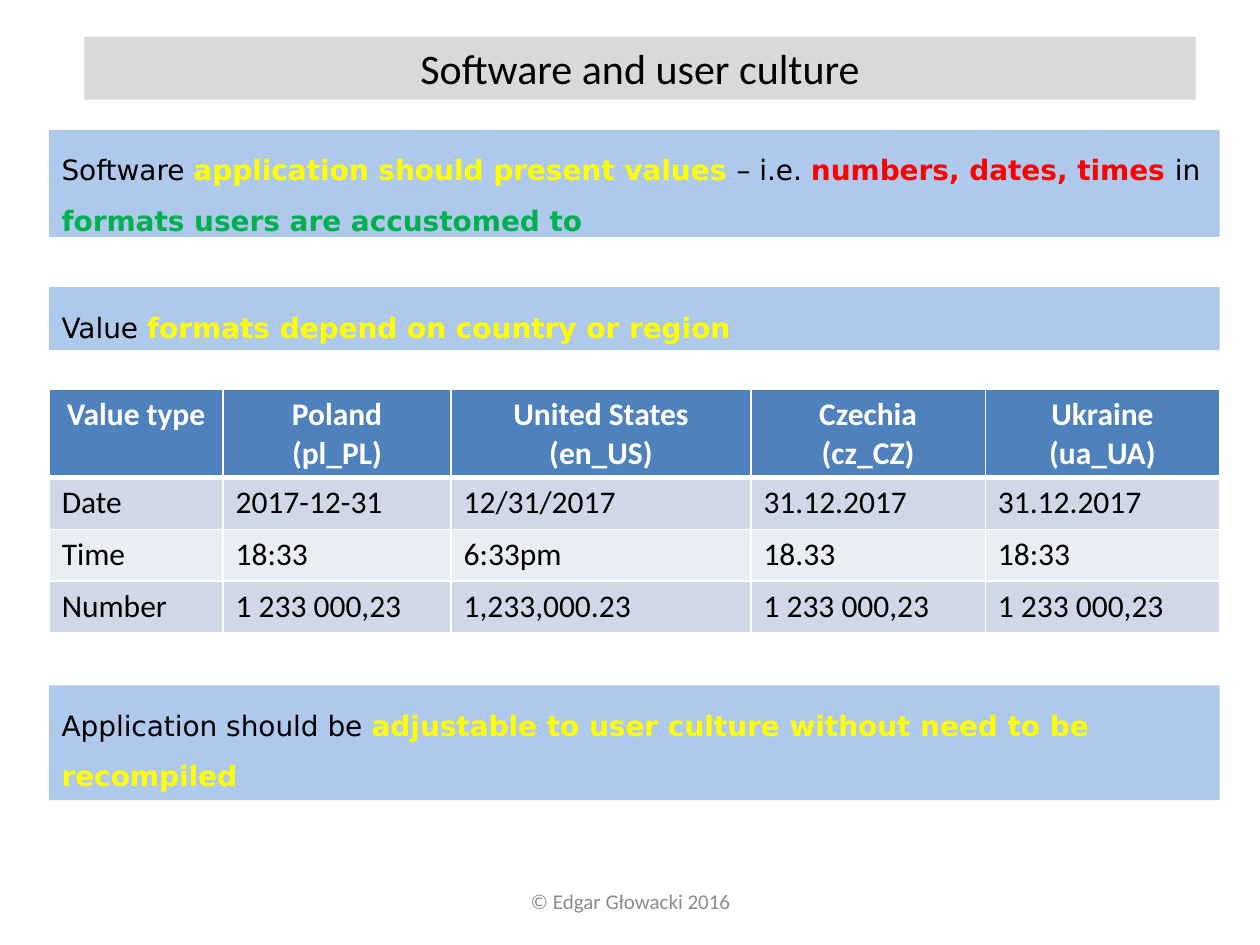
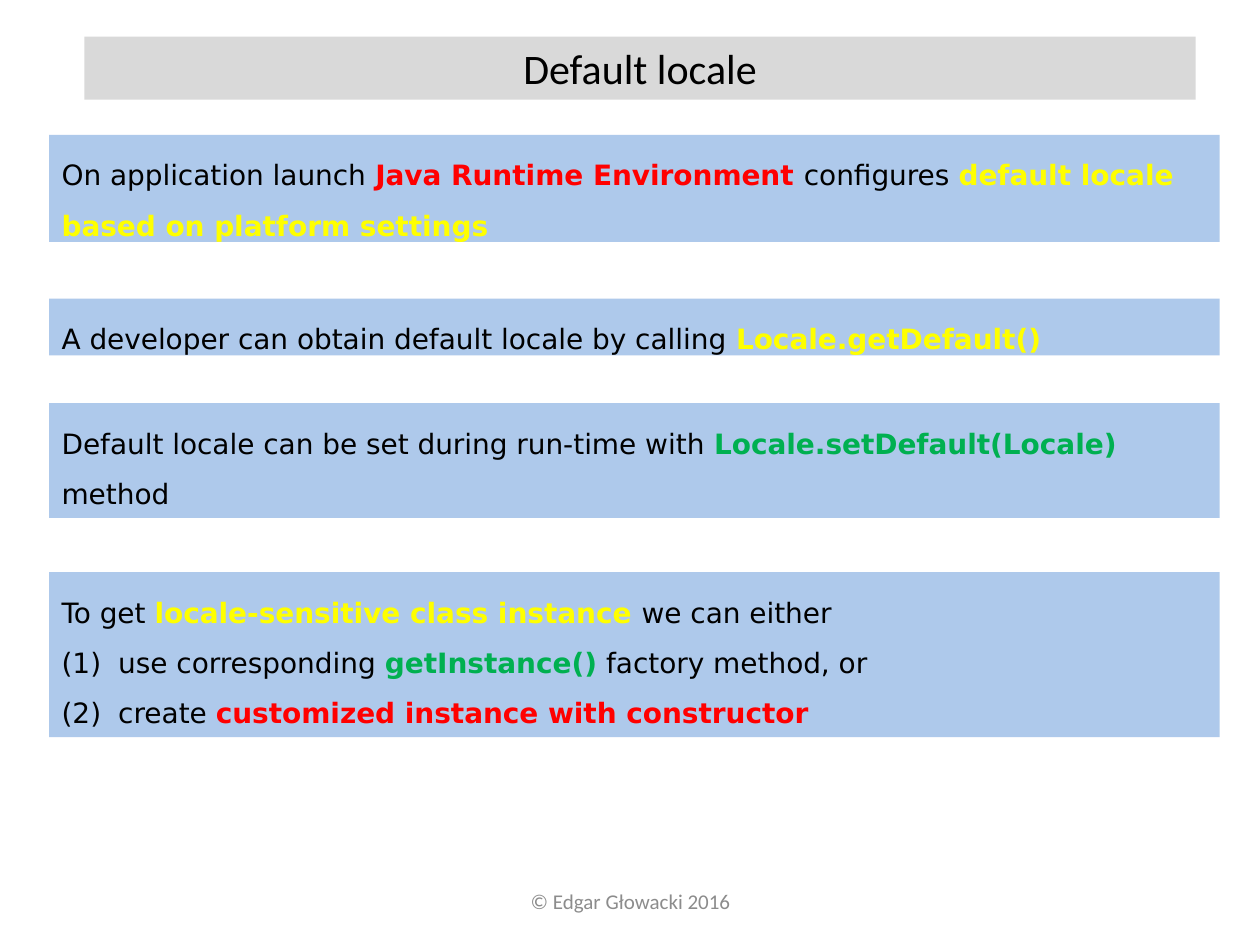
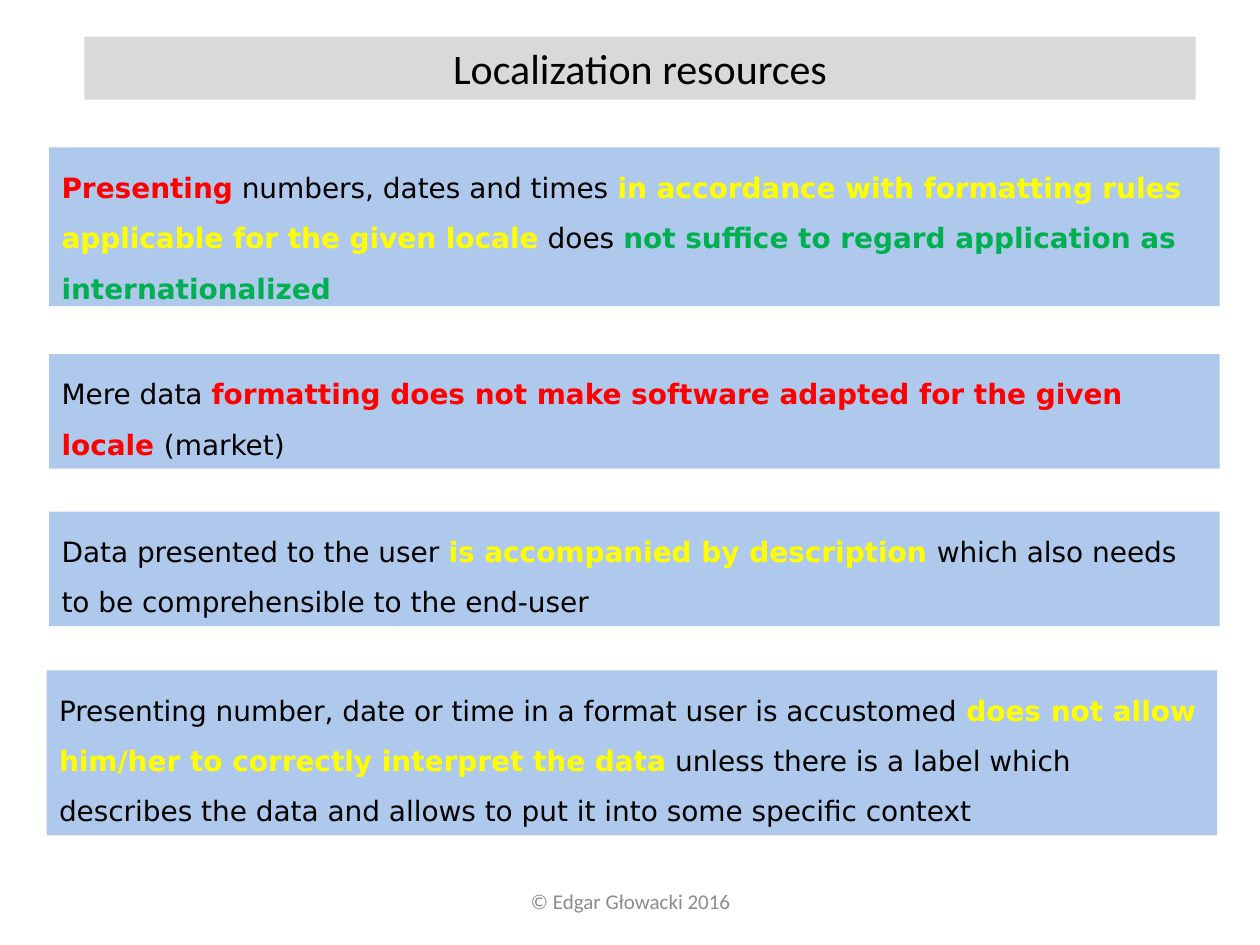
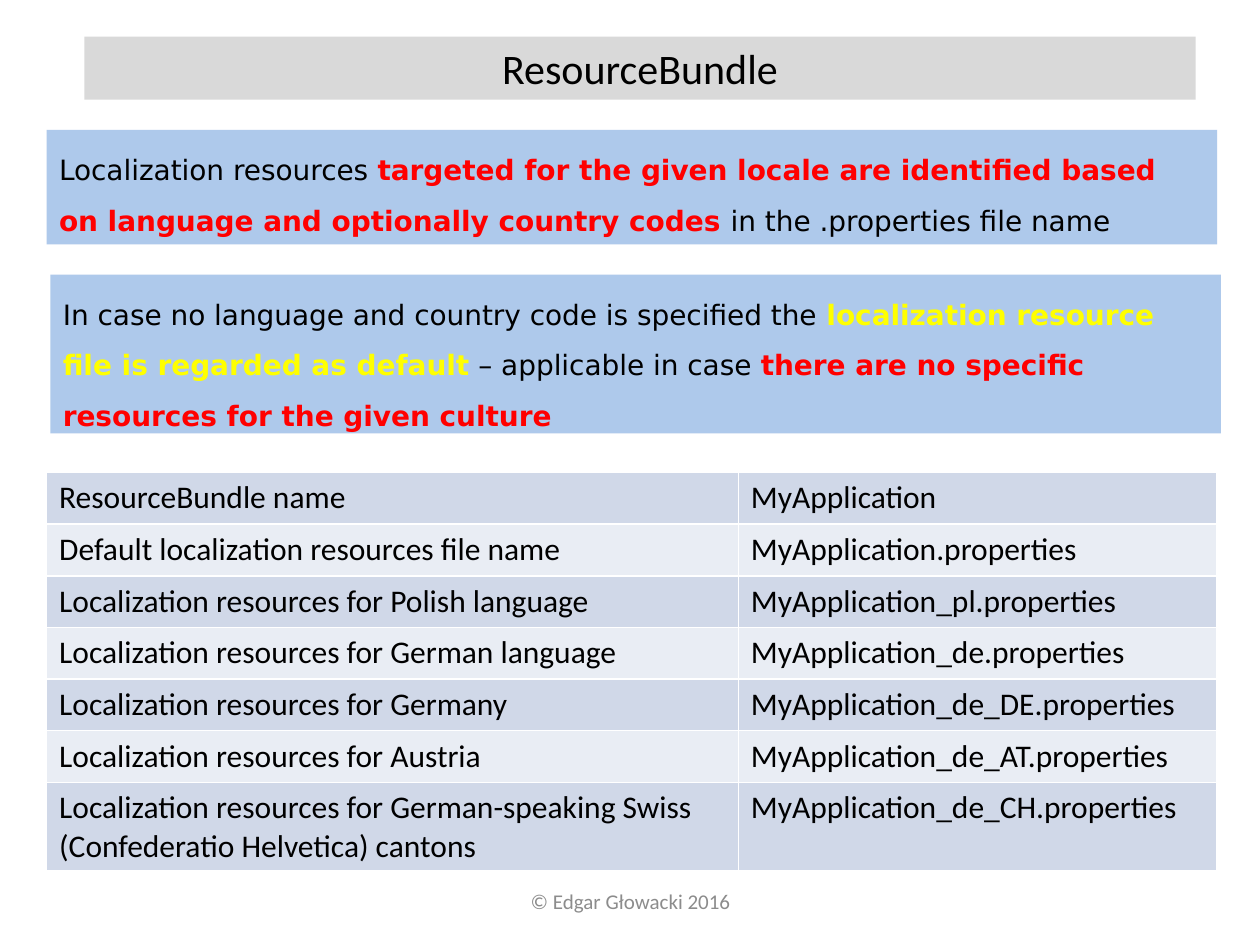
"""Build four slides about locales and localization resources."""
from lxml import etree
from pptx import Presentation
from pptx.dml.color import RGBColor
from pptx.enum.shapes import MSO_SHAPE
from pptx.enum.text import MSO_ANCHOR, MSO_AUTO_SIZE, PP_ALIGN
from pptx.oxml.ns import qn
from pptx.util import Inches, Pt

BLACK = RGBColor(0x00, 0x00, 0x00)
WHITE = RGBColor(0xFF, 0xFF, 0xFF)
YELLOW = RGBColor(0xFF, 0xFF, 0x00)
RED = RGBColor(0xFF, 0x00, 0x00)
GREEN = RGBColor(0x00, 0xB0, 0x50)
SILVER = RGBColor(0xD9, 0xD9, 0xD9)
GREY = RGBColor(0x8C, 0x8C, 0x8C)
SKY = RGBColor(0x8E, 0xB4, 0xE3)
BLUE = RGBColor(0x4F, 0x81, 0xBD)
BANDS = (RGBColor(0xD0, 0xD8, 0xE8), RGBColor(0xE9, 0xED, 0xF4))

RECT = MSO_SHAPE.RECTANGLE
CENTER, LEFT = PP_ALIGN.CENTER, PP_ALIGN.LEFT
TOP, MIDDLE = MSO_ANCHOR.TOP, MSO_ANCHOR.MIDDLE
FIXED = MSO_AUTO_SIZE.NONE
SANS, WIDE = "Calibri", "DejaVu Sans"
EDGE, WIDTH = 0.39, 9.29
ROW, TALL = 0.41, 0.69


class Deck:
    """Hold the shared style and the current slide."""

    def __init__(self):
        self.prs = Presentation()
        self.prs.slide_width = Inches(10)
        self.prs.slide_height = Inches(7.5)
        self.slide = None

    def place(self, left, top, width, height):
        return Inches(left), Inches(top), Inches(width), Inches(height)

    def style(self, para, size, name=SANS, color=BLACK, align=LEFT, bold=False):
        para.alignment = align
        font = para.font
        font.size, font.name, font.bold = Pt(size), name, bold
        font.color.rgb = color

    def start(self, title):
        self.slide = self.prs.slides.add_slide(self.prs.slide_layouts[5])
        head = self.slide.shapes.title
        head.left, head.top, head.width, head.height = self.place(0.67, 0.29, 8.82, 0.5)
        head.fill.solid()
        head.fill.fore_color.rgb = SILVER
        frame = head.text_frame
        frame.text = title
        frame.auto_size, frame.vertical_anchor = FIXED, TOP
        self.style(frame.paragraphs[0], 24, align=CENTER)
        self.footer()

    def footer(self):
        box = self.slide.shapes.add_textbox(*self.place(3.42, 6.95, 3.17, 0.4))
        frame = box.text_frame
        frame.word_wrap, frame.vertical_anchor = True, MIDDLE
        frame.text = "© Edgar Głowacki 2016"
        self.style(frame.paragraphs[0], 12, color=GREY, align=CENTER)

    def number(self, para):
        props = para._p.get_or_add_pPr()
        props.set("marL", str(Inches(0.38)))
        props.set("indent", str(-Inches(0.38)))
        etree.SubElement(props, qn("a:buAutoNum"), type="arabicParenBoth")

    def note(self, top, height, runs, steps=(), left=EDGE):
        box = self.slide.shapes.add_shape(RECT, *self.place(left, top, WIDTH, height))
        box.shadow.inherit = False
        box.line.fill.background()
        box.fill.solid()
        box.fill.fore_color.rgb = SKY
        tint = box.fill._xPr.find(".//" + qn("a:srgbClr"))
        etree.SubElement(tint, qn("a:alpha"), val="71000")
        frame = box.text_frame
        frame.word_wrap, frame.auto_size, frame.vertical_anchor = True, FIXED, TOP
        self.fill(frame.paragraphs[0], runs)
        for step in steps:
            para = frame.add_paragraph()
            self.fill(para, step, True)

    def fill(self, para, runs, listed=False):
        para.line_spacing = 1.5
        if listed:
            self.number(para)
        self.style(para, 16, WIDE)
        for text, color in runs:
            run = para.add_run()
            run.text = text
            run.font.bold = color != BLACK
            run.font.color.rgb = color

    def border(self, cell, widths):
        props = cell._tc.get_or_add_tcPr()
        for side, width in zip("LRTB", widths):
            line = etree.SubElement(props, qn("a:ln" + side), w=str(Pt(width)))
            solid = etree.SubElement(line, qn("a:solidFill"))
            etree.SubElement(solid, qn("a:srgbClr"), val=str(WHITE))

    def table(self, left, top, cols, rows, heights, header=False):
        area = self.place(left, top, sum(cols), sum(heights))
        table = self.slide.shapes.add_table(len(rows), len(cols), *area).table
        table.first_row = header
        for col, width in zip(table.columns, cols):
            col.width = Inches(width)
        for i, texts in enumerate(rows):
            table.rows[i].height = Inches(heights[i])
            main = header and i == 0
            thick = (1, 1, 3 if header and i == 1 else 1, 3 if main else 1)
            for j, text in enumerate(texts):
                cell = table.cell(i, j)
                self.border(cell, thick)
                cell.fill.solid()
                cell.fill.fore_color.rgb = BLUE if main else BANDS[(i - header) % 2]
                cell.text = text
                for para in cell.text_frame.paragraphs:
                    if main:
                        self.style(para, 18, color=WHITE, align=CENTER, bold=True)
                    else:
                        self.style(para, 18)


def culture(deck):
    deck.start("Software and user culture")
    deck.note(1.03, 0.85, [
        ("Software ", BLACK), ("application should present values ", YELLOW),
        ("– i.e. ", BLACK), ("numbers, dates, times ", RED),
        ("in ", BLACK), ("formats users are accustomed to", GREEN)])
    deck.note(2.28, 0.5, [
        ("Value ", BLACK), ("formats depend on country or region", YELLOW)])
    rows = [
        ("Value type", "Poland\n(pl_PL)", "United States (en_US)",
         "Czechia\n(cz_CZ)", "Ukraine (ua_UA)"),
        ("Date", "2017-12-31", "12/31/2017", "31.12.2017", "31.12.2017"),
        ("Time", "18:33", "6:33pm", "18.33", "18:33"),
        ("Number", "1 233 000,23", "1,233,000.23", "1 233 000,23", "1 233 000,23"),
    ]
    deck.table(EDGE, 3.09, (1.38, 1.81, 2.38, 1.86, 1.86), rows,
               [TALL] + [ROW] * 3, header=True)
    deck.note(5.44, 0.91, [
        ("Application should be ", BLACK),
        ("adjustable to user culture without need to be recompiled", YELLOW)])


def default(deck):
    deck.start("Default locale")
    deck.note(1.07, 0.85, [
        ("On application launch ", BLACK), ("Java Runtime Environment ", RED),
        ("configures ", BLACK),
        ("default locale based on platform settings", YELLOW)])
    deck.note(2.37, 0.45, [
        ("A developer can obtain default locale by calling ", BLACK),
        ("Locale.getDefault()", YELLOW)])
    deck.note(3.2, 0.91, [
        ("Default locale can be set during run-time with ", BLACK),
        ("Locale.setDefault(Locale) ", GREEN), ("method", BLACK)])
    deck.note(4.54, 1.31, [
        ("To get ", BLACK), ("locale-sensitive class instance ", YELLOW),
        ("we can either", BLACK)],
        steps=[
            [(" use corresponding ", BLACK), ("getInstance()", GREEN),
             (" factory method, or", BLACK)],
            [(" create ", BLACK), ("customized instance with constructor", RED)]])


def resources(deck):
    deck.start("Localization resources")
    deck.note(1.17, 1.26, [
        ("Presenting", RED), (" numbers, dates and times ", BLACK),
        ("in accordance with formatting rules applicable for the given locale", YELLOW),
        (" does ", BLACK),
        ("not suffice to regard application as internationalized", GREEN)])
    deck.note(2.81, 0.91, [
        ("Mere data ", BLACK),
        ("formatting does not make software adapted for the given locale ", RED),
        ("(market)", BLACK)])
    deck.note(4.06, 0.91, [
        ("Data presented to the user ", BLACK),
        ("is accompanied by description ", YELLOW),
        ("which also needs to be comprehensible to the end-user", BLACK)])
    deck.note(5.32, 1.31, [
        ("Presenting number, date or time in a format user is accustomed ", BLACK),
        ("does not allow him/her to correctly interpret the data", YELLOW),
        (" unless there is a label which describes the data and allows to put it"
         " into some specific context", BLACK)], left=0.37)


def bundle(deck):
    deck.start("ResourceBundle")
    deck.note(1.03, 0.91, [
        ("Localization resources ", BLACK),
        ("targeted for the given locale are identified based on language and"
         " optionally country codes ", RED),
        ("in the .properties file name", BLACK)], left=0.37)
    rows = [
        ("ResourceBundle name", "MyApplication"),
        ("Default localization resources file name", "MyApplication.properties"),
        ("Localization resources for Polish language", "MyApplication_pl.properties"),
        ("Localization resources for German language", "MyApplication_de.properties"),
        ("Localization resources for Germany", "MyApplication_de_DE.properties"),
        ("Localization resources for Austria", "MyApplication_de_AT.properties"),
        ("Localization resources for German-speaking Swiss"
         " (Confederatio Helvetica) cantons", "MyApplication_de_CH.properties"),
    ]
    deck.table(0.37, 3.75, (5.49, 3.8), rows, [ROW] * 6 + [TALL])
    deck.note(2.18, 1.26, [
        ("In case no language and country code is specified the ", BLACK),
        ("localization resource file is regarded as default", YELLOW),
        (" – applicable in case ", BLACK),
        ("there are no specific resources for the given culture", RED)], left=0.4)


def main():
    deck = Deck()
    for build in (culture, default, resources, bundle):
        build(deck)
    deck.prs.save("out.pptx")


if __name__ == "__main__":
    main()
